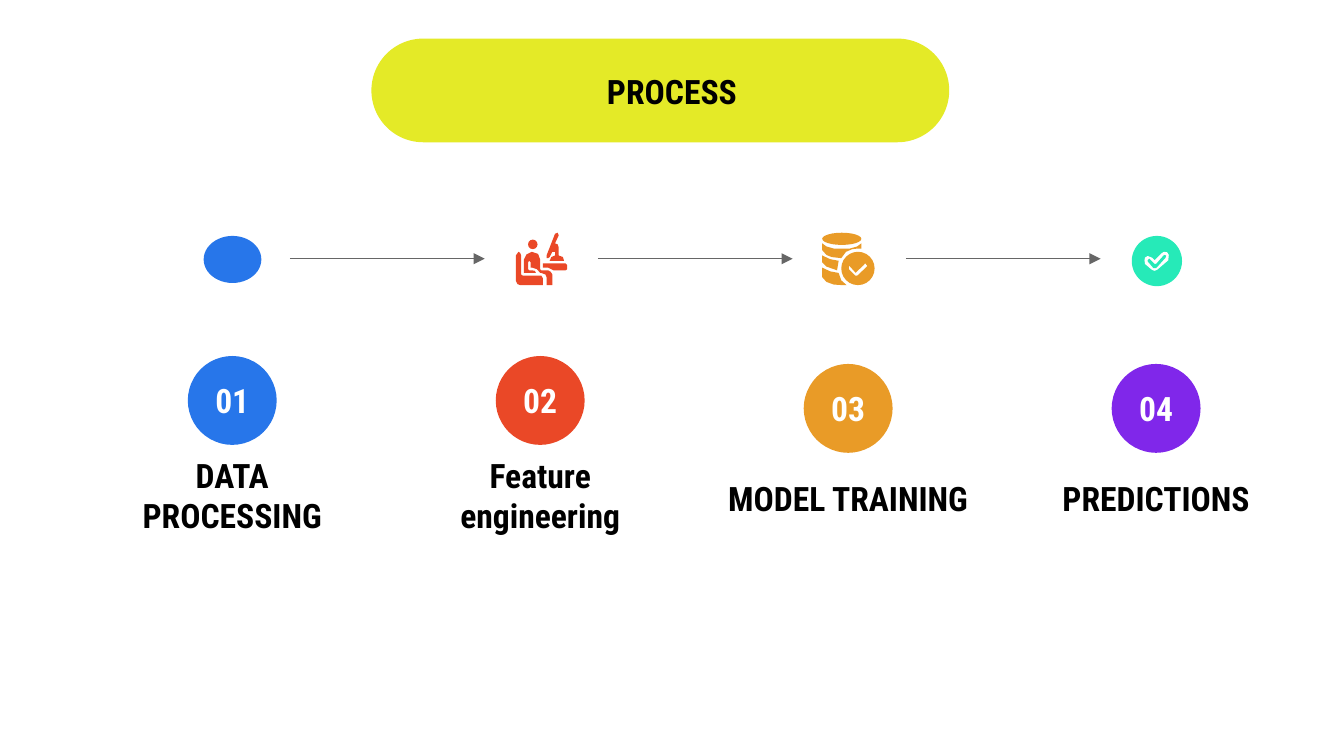
from lxml.etree import SubElement
from pptx import Presentation
from pptx.dml.color import RGBColor
from pptx.enum.shapes import MSO_CONNECTOR, MSO_SHAPE
from pptx.enum.text import MSO_ANCHOR, PP_ALIGN
from pptx.oxml.ns import qn
from pptx.util import Cm, Pt

BLACK = RGBColor(0x00, 0x00, 0x00)
WHITE = RGBColor(0xFF, 0xFF, 0xFF)
GREY = RGBColor(0x66, 0x66, 0x66)
LIME = RGBColor(0xE4, 0xEA, 0x27)
BLUE = RGBColor(0x27, 0x76, 0xEA)
RED = RGBColor(0xEA, 0x48, 0x27)
ORANGE = RGBColor(0xE9, 0x9B, 0x27)
PURPLE = RGBColor(0x80, 0x27, 0xEA)
MINT = RGBColor(0x26, 0xEA, 0xB8)
FONT = "Roboto Condensed"

# Icon outlines, in hundredths of a centimetre from the icon's corner
MICROSCOPE = [(79, 0), (74, 2), (58, 43), (58, 48), (61, 48), (64, 46), (69, 36),
              (74, 36), (74, 43), (67, 46), (64, 53), (91, 53), (89, 46), (81, 43),
              (81, 28), (79, 22), (74, 20), (81, 5)]
CHAIR = [(5, 36), (0, 43), (0, 91), (3, 97), (8, 99), (51, 99), (51, 86), (48, 81),
         (13, 81), (10, 79), (10, 43), (8, 38)]
SITTER = [(30, 36), (20, 41), (15, 51), (15, 76), (38, 76), (36, 72), (30, 71),
          (25, 71), (23, 69), (23, 56), (25, 53), (28, 56), (28, 66), (31, 66),
          (40, 69), (46, 76), (48, 76), (56, 79), (58, 84), (58, 99), (69, 99),
          (69, 79), (66, 74), (61, 71), (48, 71), (46, 69), (46, 51), (42, 40)]
DESK = [(51, 58), (51, 66), (61, 66), (71, 71), (94, 71), (97, 69), (97, 61), (94, 58)]
UPPER_DISK = [(0, 20), (0, 33), (8, 42), (18, 46), (36, 48), (45, 36), (57, 31),
              (66, 30), (74, 30), (74, 20), (66, 26), (52, 30), (22, 30), (8, 26)]
MIDDLE_DISK = [(0, 43), (0, 56), (8, 64), (28, 71), (31, 53), (15, 50)]
LOWER_DISK = [(0, 66), (0, 84), (8, 93), (22, 98), (37, 99), (46, 99), (36, 90),
              (31, 76), (15, 73)]
THIN_TICK = [(81, 58), (85, 63), (66, 81), (63, 81), (51, 69), (51, 63), (53, 65),
             (63, 76), (79, 61)]
WIDE_TICK = [(61, 30), (67, 31), (70, 36), (69, 46), (48, 64), (43, 66), (38, 64),
             (25, 53), (24, 46), (25, 41), (30, 38), (38, 41), (43, 46), (56, 33)]
TICK_CORE = [(61, 36), (46, 53), (43, 53), (41, 51), (33, 43), (30, 46), (30, 48),
             (41, 61), (46, 61), (64, 41), (65, 37)]


def paint(shape, color):
    shape.shadow.inherit = False
    shape.fill.solid()
    shape.fill.fore_color.rgb = color
    shape.line.fill.background()
    return shape


def add_filled(slide, kind, left, top, width, height, color):
    return paint(slide.shapes.add_shape(
        kind, Cm(left), Cm(top), Cm(width), Cm(height)), color)


def add_outline(slide, left, top, points, color):
    builder = slide.shapes.build_freeform(*points[0], scale=float(Cm(0.01)))
    builder.add_line_segments(points[1:], close=True)
    paint(builder.convert_to_shape(Cm(left), Cm(top)), color)


def write(shape, text, color, side_margin):
    frame = shape.text_frame
    frame.word_wrap = True
    frame.vertical_anchor = MSO_ANCHOR.MIDDLE
    frame.margin_left = frame.margin_right = Cm(side_margin)
    frame.margin_top = frame.margin_bottom = Cm(0.25)
    line = frame.paragraphs[0]
    line.text = text
    line.alignment = PP_ALIGN.CENTER
    line.font.name, line.font.size, line.font.bold = FONT, Pt(18), True
    line.font.color.rgb = color


def add_label(slide, left, top, width, height, text):
    label = slide.shapes.add_textbox(Cm(left), Cm(top), Cm(width), Cm(height))
    write(label, text, BLACK, side_margin=0.3)


def add_title(slide, left, top, width, height):
    banner = add_filled(slide, MSO_SHAPE.ROUNDED_RECTANGLE, left, top, width, height, LIME)
    banner.adjustments[0] = 0.5
    add_label(slide, left + 0.62, top + 0.21, width - 0.8, height - 0.4, "PROCESS")


def add_source_icon(slide, left, top):
    add_filled(slide, MSO_SHAPE.OVAL, left - 0.08, top + 0.06, 1.09, 0.89, BLUE)


def add_engineer_icon(slide, left, top):
    for part in (MICROSCOPE, CHAIR, SITTER, DESK):
        add_outline(slide, left, top, part, RED)
    add_filled(slide, MSO_SHAPE.OVAL, left + 0.23, top + 0.13, 0.18, 0.18, RED)


def add_database_icon(slide, left, top):
    left -= 0.03
    add_filled(slide, MSO_SHAPE.OVAL, left, top, 0.74, 0.23, ORANGE)
    for part in (UPPER_DISK, MIDDLE_DISK, LOWER_DISK):
        add_outline(slide, left, top, part, ORANGE)
    add_filled(slide, MSO_SHAPE.OVAL, left + 0.36, top + 0.36, 0.63, 0.63, ORANGE)
    add_outline(slide, left, top, THIN_TICK, WHITE)


def add_check_icon(slide, left, top):
    top += 0.06
    add_filled(slide, MSO_SHAPE.OVAL, left, top, 0.95, 0.95, MINT)
    add_outline(slide, left, top, WIDE_TICK, WHITE)
    add_outline(slide, left, top, TICK_CORE, MINT)


def add_step(slide, left, top, width, number, name, color, label_drop):
    size = 1.68
    badge = add_filled(slide, MSO_SHAPE.OVAL, left + (width - size) / 2, top,
                       size, size, color)
    write(badge, number, WHITE, side_margin=0)
    add_label(slide, left, top + label_drop, width, 0.91, name)


def add_arrow(slide, left, y, width):
    arrow = slide.shapes.add_connector(
        MSO_CONNECTOR.STRAIGHT, Cm(left), Cm(y), Cm(left + width), Cm(y))
    arrow.line.color.rgb = GREY
    arrow.line.width = Pt(0.75)
    SubElement(arrow.line._get_or_add_ln(), qn("a:tailEnd"), type="triangle")
    SubElement(arrow._element.spPr, qn("a:effectLst"))


def main():
    deck = Presentation()
    deck.slide_width, deck.slide_height = Cm(25.4), Cm(14.29)
    slide = deck.slides.add_slide(deck.slide_layouts[6])

    add_title(slide, 7.02, 0.73, 10.92, 1.96)

    # Steps: icon, number, name, colour, top, drop from badge to name
    steps = [
        (add_source_icon, "01", "DATA PROCESSING", BLUE, 6.73, 2.18),
        (add_engineer_icon, "02", "Feature engineering", RED, 6.73, 2.18),
        (add_database_icon, "03", "MODEL TRAINING", ORANGE, 6.88, 2.08),
        (add_check_icon, "04", "PREDICTIONS", PURPLE, 6.88, 2.08),
    ]
    first_center, pitch, step_width = 4.39, 5.82, 5.38
    for index, (add_icon, number, name, color, top, drop) in enumerate(steps):
        center = first_center + index * pitch
        add_icon(slide, center - 0.46, 4.4)
        add_step(slide, center - step_width / 2, top, step_width,
                 number, name, color, drop)
        if index < len(steps) - 1:
            add_arrow(slide, center + 1.09, 4.89, 3.68)

    deck.save("out.pptx")


if __name__ == "__main__":
    main()
